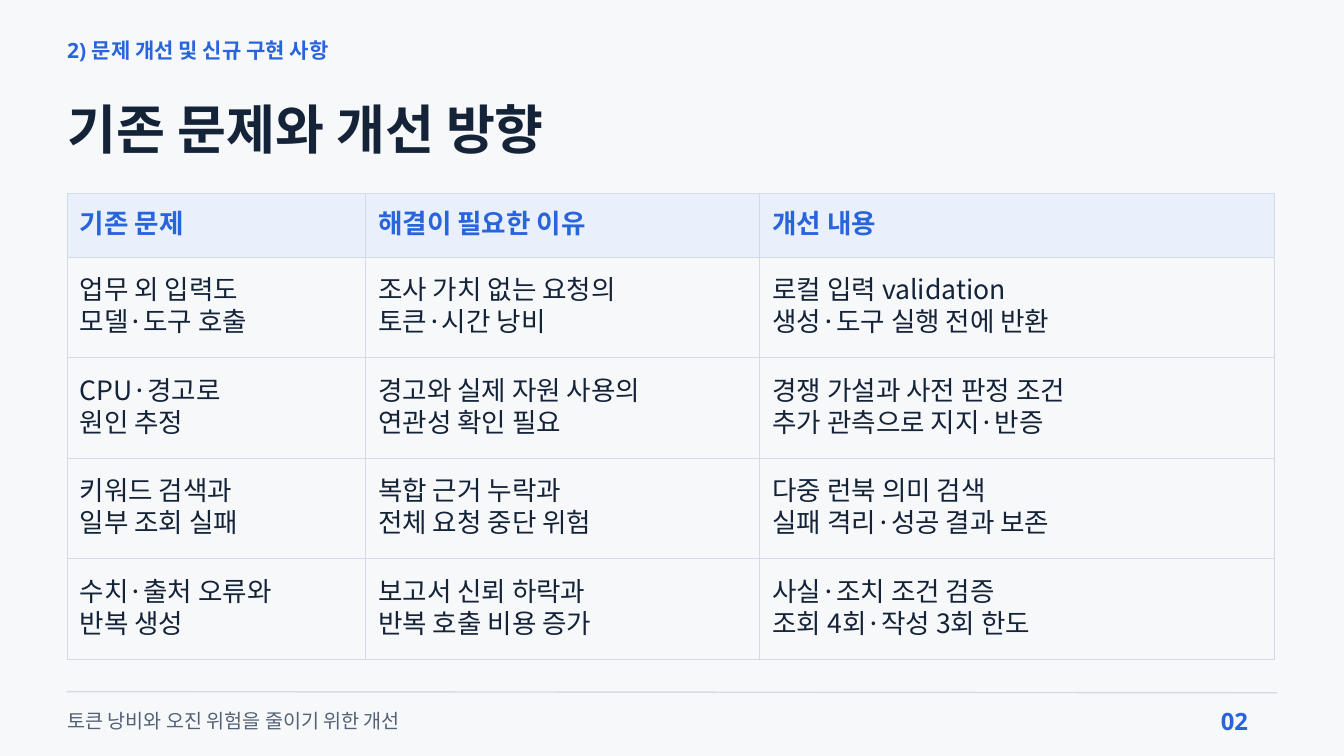
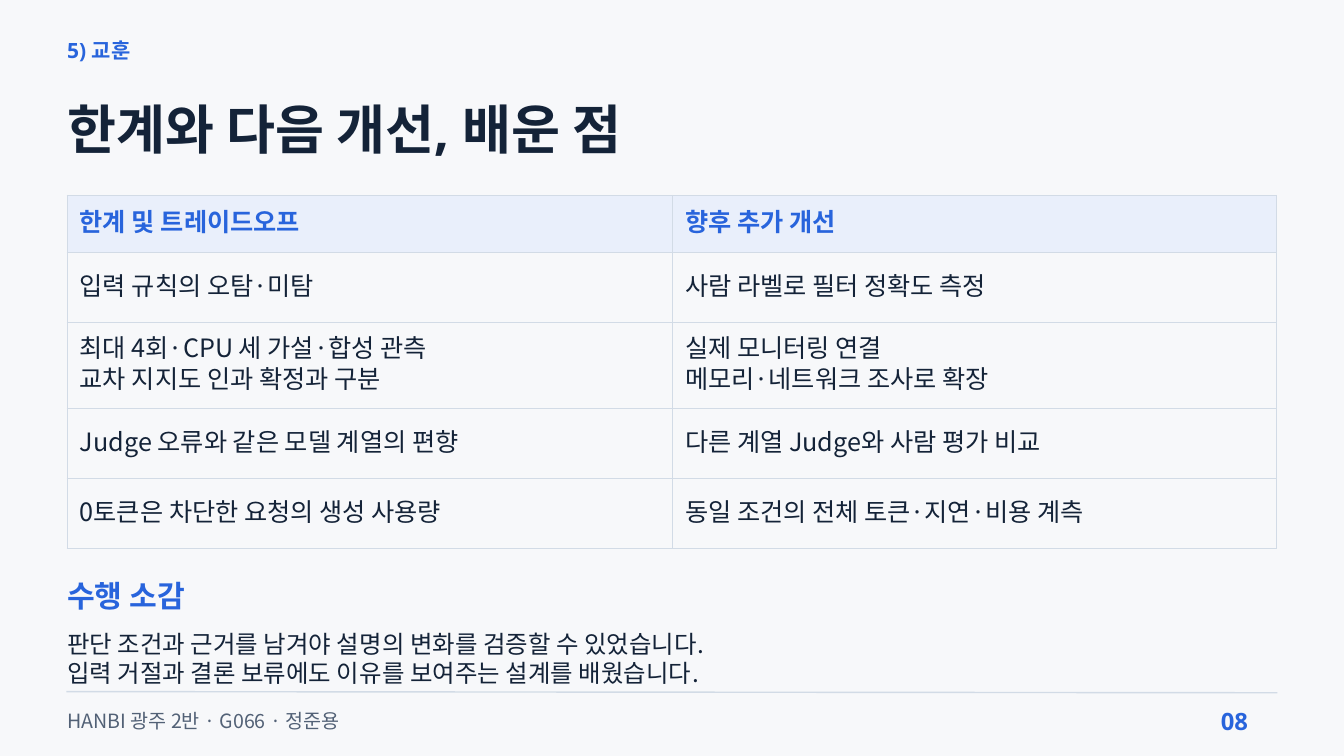
from lxml.etree import SubElement
from pptx import Presentation
from pptx.dml.color import RGBColor
from pptx.enum.shapes import MSO_CONNECTOR
from pptx.enum.text import MSO_ANCHOR, MSO_AUTO_SIZE
from pptx.oxml.ns import qn
from pptx.util import Pt

# Shared look
PAPER = RGBColor(0xF7, 0xF8, 0xFA)
BLUE = RGBColor(0x28, 0x64, 0xDC)
NAVY = RGBColor(0x14, 0x23, 0x38)
SLATE = RGBColor(0x52, 0x61, 0x76)
RULE = RGBColor(0xD2, 0xDB, 0xE6)
HEADER_FILL = RGBColor(0xE9, 0xEF, 0xFB)
HEADING_FONT, BODY_FONT = "Noto Sans", "Noto Sans CJK KR"
LEFT, CELL_PAD, BORDER = 72, 13.5, 1.13
LEADING = 1.2

STYLES = {
    "section": dict(size=22.5, color=BLUE, bold=True),
    "title": dict(size=57, color=NAVY, bold=True),
    "footer": dict(size=21, color=SLATE, bold=False),
    "page": dict(size=25.5, color=BLUE, bold=True),
    "closing_head": dict(size=32.25, color=BLUE, bold=True),
    "closing": dict(size=26.25, color=NAVY, bold=False),
}

# Left, top, width, height of every text part
PLACES = {
    "section": (LEFT, 40.5, 1275, 36),
    "title": (LEFT, 103.5, 1296, 82),
    "footer": (LEFT, 759.5, 1192, 31.5),
    "page": (1308, 756.75, 60, 33),
    "closing_head": (LEFT, 618.5, 187, 49.5),
    "closing": (LEFT, 673.5, 1296, 64.5),
}

# Content
SLIDES = [
    {
        "texts": {
            "section": "2) 문제 개선 및 신규 구현 사항",
            "title": "기존 문제와 개선 방향",
            "footer": "토큰 낭비와 오진 위험을 줄이기 위한 개선",
            "page": "02",
        },
        "table": {
            "top": 207.25, "size": 28.5,
            "columns": (319.75, 422.5, 551.5),
            "header_height": 68.5, "row_heights": {2: 107.65},
            "rows": [
                ("기존 문제", "해결이 필요한 이유", "개선 내용"),
                ("업무 외 입력도\n모델·도구 호출", "조사 가치 없는 요청의\n토큰·시간 낭비",
                 "로컬 입력 validation\n생성·도구 실행 전에 반환"),
                ("CPU·경고로\n원인 추정", "경고와 실제 자원 사용의\n연관성 확인 필요",
                 "경쟁 가설과 사전 판정 조건\n추가 관측으로 지지·반증"),
                ("키워드 검색과\n일부 조회 실패", "복합 근거 누락과\n전체 요청 중단 위험",
                 "다중 런북 의미 검색\n실패 격리·성공 결과 보존"),
                ("수치·출처 오류와\n반복 생성", "보고서 신뢰 하락과\n반복 호출 비용 증가",
                 "사실·조치 조건 검증\n조회 4회·작성 3회 한도"),
            ],
        },
    },
    {
        "texts": {
            "section": "5) 교훈",
            "title": "한계와 다음 개선, 배운 점",
            "footer": "HANBI 광주 2반 · G066 · 정준용",
            "page": "08",
            "closing_head": "수행 소감",
            "closing": "판단 조건과 근거를 남겨야 설명의 변화를 검증할 수 있었습니다.\n"
                       "입력 거절과 결론 보류에도 이유를 보여주는 설계를 배웠습니다.",
        },
        "table": {
            "top": 209.25, "size": 27,
            "columns": (648.5, 647.5),
            "header_height": 61, "row_heights": {1: 75, 2: 92.25},
            "rows": [
                ("한계 및 트레이드오프", "향후 추가 개선"),
                ("입력 규칙의 오탐·미탐", "사람 라벨로 필터 정확도 측정"),
                ("최대 4회·CPU 세 가설·합성 관측\n교차 지지도 인과 확정과 구분",
                 "실제 모니터링 연결\n메모리·네트워크 조사로 확장"),
                ("Judge 오류와 같은 모델 계열의 편향", "다른 계열 Judge와 사람 평가 비교"),
                ("0토큰은 차단한 요청의 생성 사용량", "동일 조건의 전체 토큰·지연·비용 계측"),
            ],
        },
    },
]


def write(frame, text, size, color, bold):
    """One paragraph per line, with fixed leading."""
    frame.word_wrap = True
    for index, line in enumerate(text.split("\n")):
        paragraph = frame.add_paragraph() if index else frame.paragraphs[0]
        paragraph.line_spacing = Pt(size * LEADING)
        run = paragraph.add_run()
        run.text = line
        font_format = {"name": HEADING_FONT if bold else BODY_FONT, "size": Pt(size), "bold": bold}
        for key, value in font_format.items():
            setattr(run.font, key, value)
        run.font.color.rgb = color
        SubElement(run.font._element, qn("a:ea")).set("typeface", BODY_FONT)


def set_margins(target, margin):
    for side in ("left", "top", "right", "bottom"):
        setattr(target, f"margin_{side}", Pt(margin))


def add_text(slide, part, text):
    box = slide.shapes.add_textbox(*map(Pt, PLACES[part]))
    set_margins(box.text_frame, 0)
    write(box.text_frame, text, **STYLES[part])
    box.text_frame.auto_size = MSO_AUTO_SIZE.SHAPE_TO_FIT_TEXT


def add_footer_rule(slide):
    rule = slide.shapes.add_connector(
        MSO_CONNECTOR.STRAIGHT, Pt(71.25), Pt(741), Pt(1368.75), Pt(742.25))
    rule.line.color.rgb = RULE
    rule.line.width = Pt(1.5)
    SubElement(rule._element.spPr, qn("a:effectLst"))


def add_borders(cell):
    properties = cell._tc.get_or_add_tcPr()
    for index, side in enumerate(("lnL", "lnR", "lnT", "lnB")):
        border = properties.makeelement(qn(f"a:{side}"), {"w": str(Pt(BORDER))})
        fill = SubElement(border, qn("a:solidFill"))
        SubElement(fill, qn("a:srgbClr")).set("val", str(RULE))
        properties.insert(index, border)


def add_comparison(slide, top, size, columns, header_height, row_heights, rows):
    # Body rows are as tall as their number of lines needs
    heights = [header_height] + [row_heights[row[0].count("\n") + 1] for row in rows[1:]]
    table = slide.shapes.add_table(
        len(rows), len(columns), Pt(LEFT), Pt(top), Pt(sum(columns)), Pt(sum(heights))).table
    for column, width in zip(table.columns, columns):
        column.width = Pt(width)
    for row_index, (row, height) in enumerate(zip(rows, heights)):
        table.rows[row_index].height = Pt(height)
        is_header = row_index == 0
        for column_index, text in enumerate(row):
            cell = table.cell(row_index, column_index)
            set_margins(cell, CELL_PAD)
            cell.vertical_anchor = MSO_ANCHOR.MIDDLE
            cell.fill.solid()
            cell.fill.fore_color.rgb = HEADER_FILL if is_header else PAPER
            add_borders(cell)
            write(cell.text_frame, text, size, BLUE if is_header else NAVY, is_header)


def main():
    deck = Presentation()
    deck.slide_width, deck.slide_height = Pt(1440), Pt(810)
    for content in SLIDES:
        slide = deck.slides.add_slide(deck.slide_layouts[6])
        slide.background.fill.solid()
        slide.background.fill.fore_color.rgb = PAPER
        add_footer_rule(slide)
        add_comparison(slide, **content["table"])
        for part, text in content["texts"].items():
            add_text(slide, part, text)
    deck.save("out.pptx")


if __name__ == "__main__":
    main()
